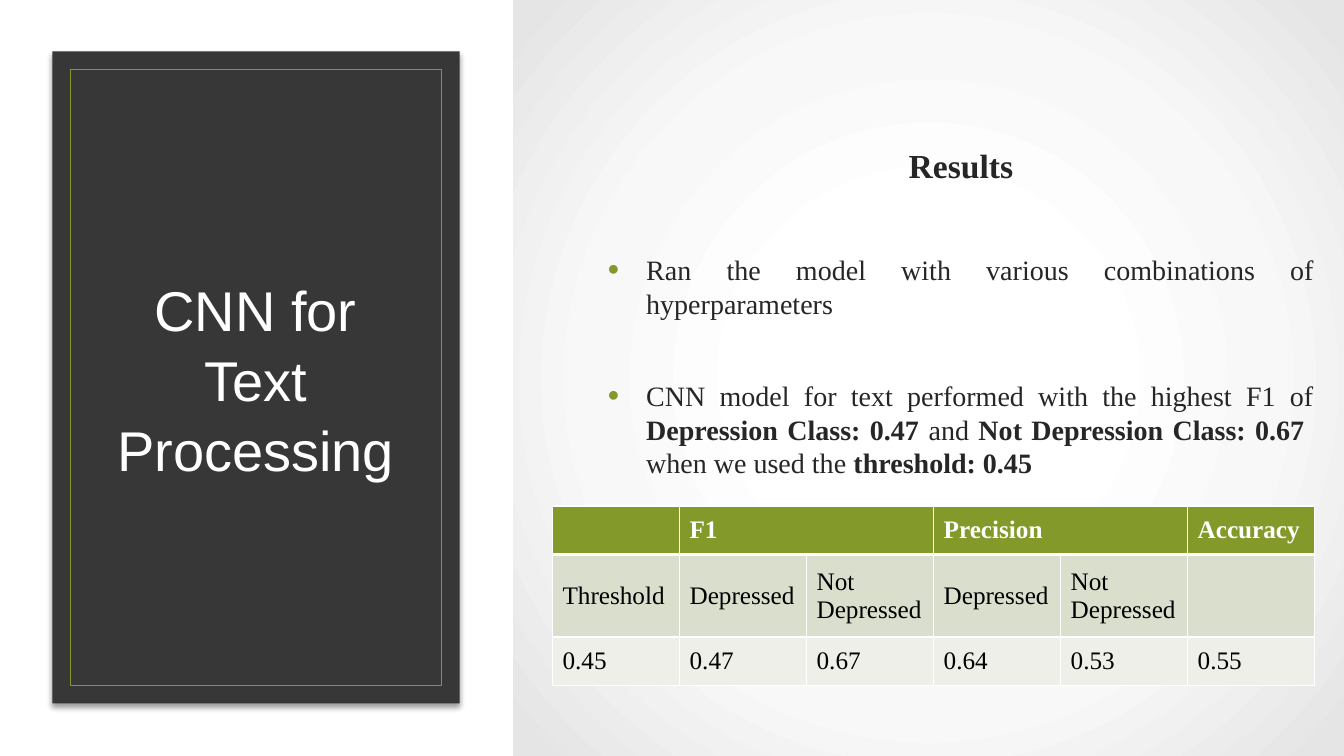
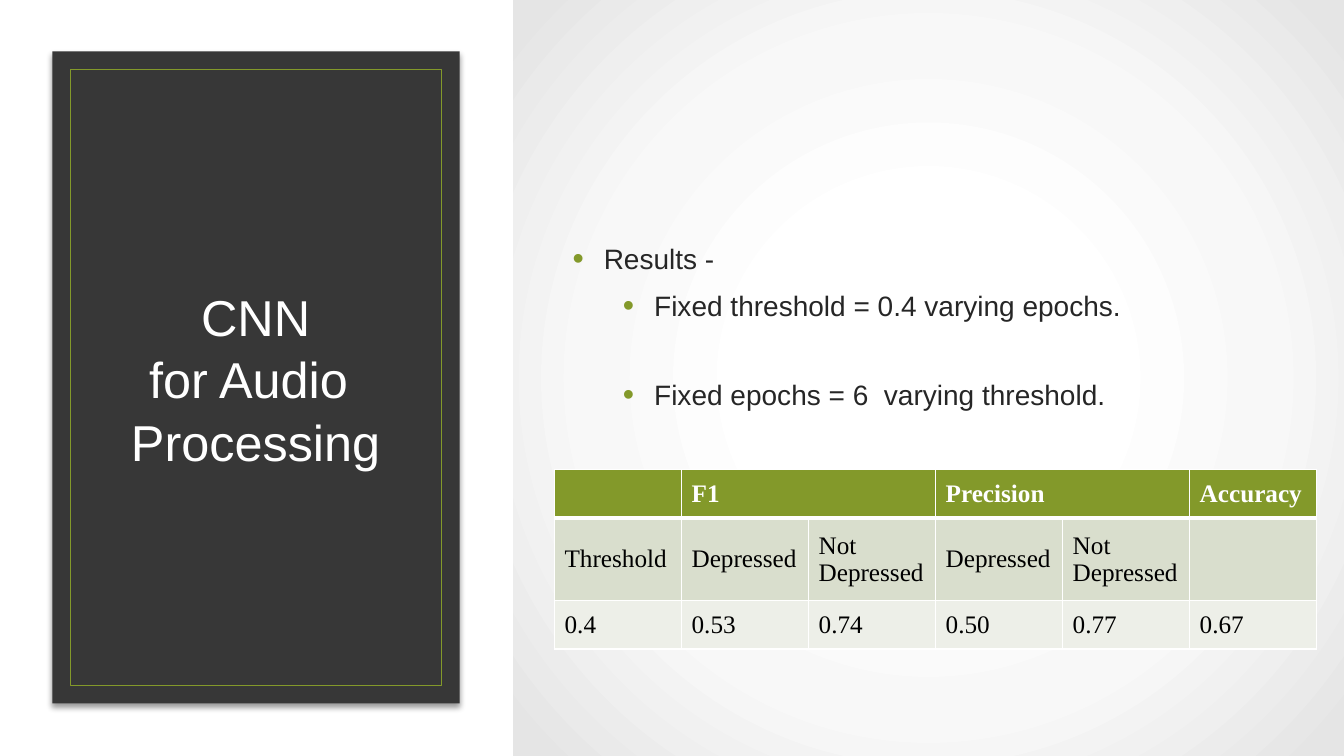
"""Build two result slides for the text and audio CNN models."""
from dataclasses import dataclass

from lxml import etree
from pptx import Presentation
from pptx.dml.color import RGBColor
from pptx.enum.shapes import MSO_SHAPE
from pptx.enum.text import MSO_ANCHOR, PP_ALIGN
from pptx.oxml import parse_xml
from pptx.oxml.ns import qn
from pptx.util import Inches, Pt

RECTANGLE = MSO_SHAPE.RECTANGLE
MIDDLE = MSO_ANCHOR.MIDDLE
TOP = MSO_ANCHOR.TOP
CENTER = PP_ALIGN.CENTER
JUSTIFY = PP_ALIGN.JUSTIFY
LEFT = PP_ALIGN.LEFT
NAMESPACE = 'xmlns:a="http://schemas.openxmlformats.org/drawingml/2006/main"'


@dataclass(frozen=True)
class Theme:
    accent: str = "83992A"
    panel: str = "373737"
    white: str = "FFFFFF"
    black: str = "000000"
    body: str = "262626"
    label_row: str = "D9DECD"
    value_row: str = "EDEFE8"
    sans: str = "Arial"
    serif: str = "Times New Roman"
    heading_size: int = 24
    body_size: int = 20
    table_size: int = 18
    glow: tuple = ((0, "FFFFFF"), (30, "FFFFFF"), (61, "F8F8F8"), (97, "E5E5E5"))


THEME = Theme()


def add_rectangle(slide, box, fill=None, line=None):
    shape = slide.shapes.add_shape(RECTANGLE, *map(Inches, box))
    shape.shadow.inherit = False
    if fill:
        shape.fill.solid()
        shape.fill.fore_color.rgb = RGBColor.from_string(fill)
    else:
        shape.fill.background()
    if line:
        shape.line.color.rgb = RGBColor.from_string(line)
        shape.line.width = Pt(1.25)
    else:
        shape.line.fill.background()
    return shape


def add_run(paragraph, text, font, size, color, bold=False):
    run = paragraph.add_run()
    run.text = text
    run.font.name = font
    run.font.size = Pt(size)
    run.font.bold = bold
    run.font.color.rgb = RGBColor.from_string(color)


SLIDES = [
    {
        "title": ["CNN for Text Processing"],
        "title_size": 40,
        "font": THEME.serif,
        "body_box": (5.62, 1.39, 7.51, 3.4),
        "body": [
            {"runs": [("Results", True)], "size": THEME.heading_size, "align": CENTER,
             "margin": 0.31, "hanging": 0, "before": 0},
            {"runs": [("Ran the model with various combinations of hyperparameters", False)],
             "margin": 0.69, "hanging": 0.38, "before": 48},
            {"runs": [("CNN model for text performed with the highest F1 of ", False),
                      ("Depression Class: 0.47", True), (" and ", False),
                      ("Not Depression Class: 0.67", True), ("  when we used the ", False),
                      ("threshold: 0.45", True)],
             "margin": 0.69, "hanging": 0.38, "before": 42},
        ],
        "table_at": (5.48, 5.02),
        "values": ["0.45", "0.47", "0.67", "0.64", "0.53", "0.55"],
    },
    {
        "title": ["CNN", "for Audio ", "Processing"],
        "title_size": 36,
        "font": THEME.sans,
        "body_box": (5.58, 2.35, 7.08, 1.8),
        "body": [
            {"runs": [("Results -", False)], "margin": 0.31, "hanging": 0.31, "before": 0},
            {"runs": [("Fixed threshold = 0.4 varying epochs.", False)],
             "margin": 0.81, "hanging": 0.31, "before": 9},
            {"runs": [("Fixed epochs = 6  varying threshold.", False)],
             "margin": 0.81, "hanging": 0.31, "before": 40},
        ],
        "table_at": (5.5, 4.66),
        "values": ["0.4", "0.53", "0.74", "0.50", "0.77", "0.67"],
    },
]
GROUPS = ["", "F1", "", "Precision", "", "Accuracy"]
LABELS = ["Threshold", "Depressed", "Not Depressed", "Depressed", "Not Depressed", ""]
COLUMN_WIDTH = 1.26
ROW_HEIGHTS = [0.48, 0.82, 0.48]
ROW_FILLS = [THEME.accent, THEME.label_row, THEME.value_row]

presentation = Presentation()
presentation.slide_width = Inches(13.33)
presentation.slide_height = Inches(7.5)

for content in SLIDES:
    slide = presentation.slides.add_slide(presentation.slide_layouts[6])

    panel = add_rectangle(slide, (0.52, 0.51, 4.04, 6.47), fill=THEME.panel)
    panel._element.spPr.find(qn("a:effectLst")).append(parse_xml(
        f'<a:outerShdw {NAMESPACE} blurRad="{Pt(4)}" dist="{Pt(3)}" dir="5400000" rotWithShape="0">'
        f'<a:srgbClr val="{THEME.black}"><a:alpha val="40000"/></a:srgbClr></a:outerShdw>'))
    add_rectangle(slide, (0.7, 0.69, 3.68, 6.11), line=THEME.accent)

    title = slide.shapes.add_textbox(*map(Inches, (1.04, 1.04, 2.99, 5.41)))
    title.text_frame.word_wrap = True
    title.text_frame.vertical_anchor = MIDDLE
    paragraph = title.text_frame.paragraphs[0]
    paragraph.alignment = CENTER
    paragraph.line_spacing = 1.04
    for index, line in enumerate(content["title"]):
        if index:
            paragraph.add_line_break()
        add_run(paragraph, line, THEME.sans, content["title_size"], THEME.white)

    backdrop = add_rectangle(slide, (5.09, 0, 8.24, 7.5), fill=THEME.white)
    properties = backdrop._element.spPr
    stops = "".join(f'<a:gs pos="{position * 1000}"><a:srgbClr val="{color}"/></a:gs>'
                    for position, color in THEME.glow)
    properties.replace(properties.find(qn("a:solidFill")), parse_xml(
        f'<a:gradFill {NAMESPACE} rotWithShape="1"><a:gsLst>{stops}</a:gsLst><a:path path="circle">'
        '<a:fillToRect l="50000" t="50000" r="50000" b="50000"/></a:path></a:gradFill>'))

    body = slide.shapes.add_textbox(*map(Inches, content["body_box"]))
    body.text_frame.word_wrap = True
    body.text_frame.vertical_anchor = TOP
    for index, item in enumerate(content["body"]):
        paragraph = body.text_frame.add_paragraph() if index else body.text_frame.paragraphs[0]
        paragraph.alignment = item.get("align", JUSTIFY)
        paragraph.line_spacing = 1.0
        paragraph.space_before = Pt(item["before"])
        properties = paragraph._p.get_or_add_pPr()
        properties.set("marL", str(Inches(item["margin"])))
        properties.set("indent", str(-Inches(item["hanging"])))
        if item["hanging"]:
            color = etree.SubElement(properties, qn("a:buClr"))
            etree.SubElement(color, qn("a:srgbClr"), val=THEME.accent)
            etree.SubElement(properties, qn("a:buSzPct"), val="115000")
            etree.SubElement(properties, qn("a:buFont"), typeface=THEME.sans)
            etree.SubElement(properties, qn("a:buChar"), char="•")
        for text, bold in item["runs"]:
            add_run(paragraph, text, content["font"], item.get("size", THEME.body_size),
                    THEME.body, bold)

    rows = [GROUPS, LABELS, content["values"]]
    left, top = content["table_at"]
    table = slide.shapes.add_table(
        len(rows), len(LABELS), Inches(left), Inches(top),
        Inches(COLUMN_WIDTH * len(LABELS)), Inches(sum(ROW_HEIGHTS))).table
    table.first_row = False
    table.horz_banding = False
    for column in table.columns:
        column.width = Inches(COLUMN_WIDTH)
    for row_index, texts in enumerate(rows):
        table.rows[row_index].height = Inches(ROW_HEIGHTS[row_index])
        for column_index, text in enumerate(texts):
            cell = table.cell(row_index, column_index)
            cell.vertical_anchor = MIDDLE
            for side in ("lnL", "lnR", "lnT", "lnB"):
                under_header = (row_index, side) in ((0, "lnB"), (1, "lnT"))
                cell._tc.get_or_add_tcPr().append(parse_xml(
                    f'<a:{side} {NAMESPACE} w="{Pt(3 if under_header else 1)}"><a:solidFill>'
                    f'<a:srgbClr val="{THEME.white}"/></a:solidFill></a:{side}>'))
            cell.fill.solid()
            cell.fill.fore_color.rgb = RGBColor.from_string(ROW_FILLS[row_index])
            if text:
                paragraph = cell.text_frame.paragraphs[0]
                paragraph.alignment = LEFT
                is_header = row_index == 0
                add_run(paragraph, text, THEME.serif, THEME.table_size,
                        THEME.white if is_header else THEME.black, is_header)
    for first in (1, 3):
        table.cell(0, first).merge(table.cell(0, first + 1))

presentation.save("out.pptx")
